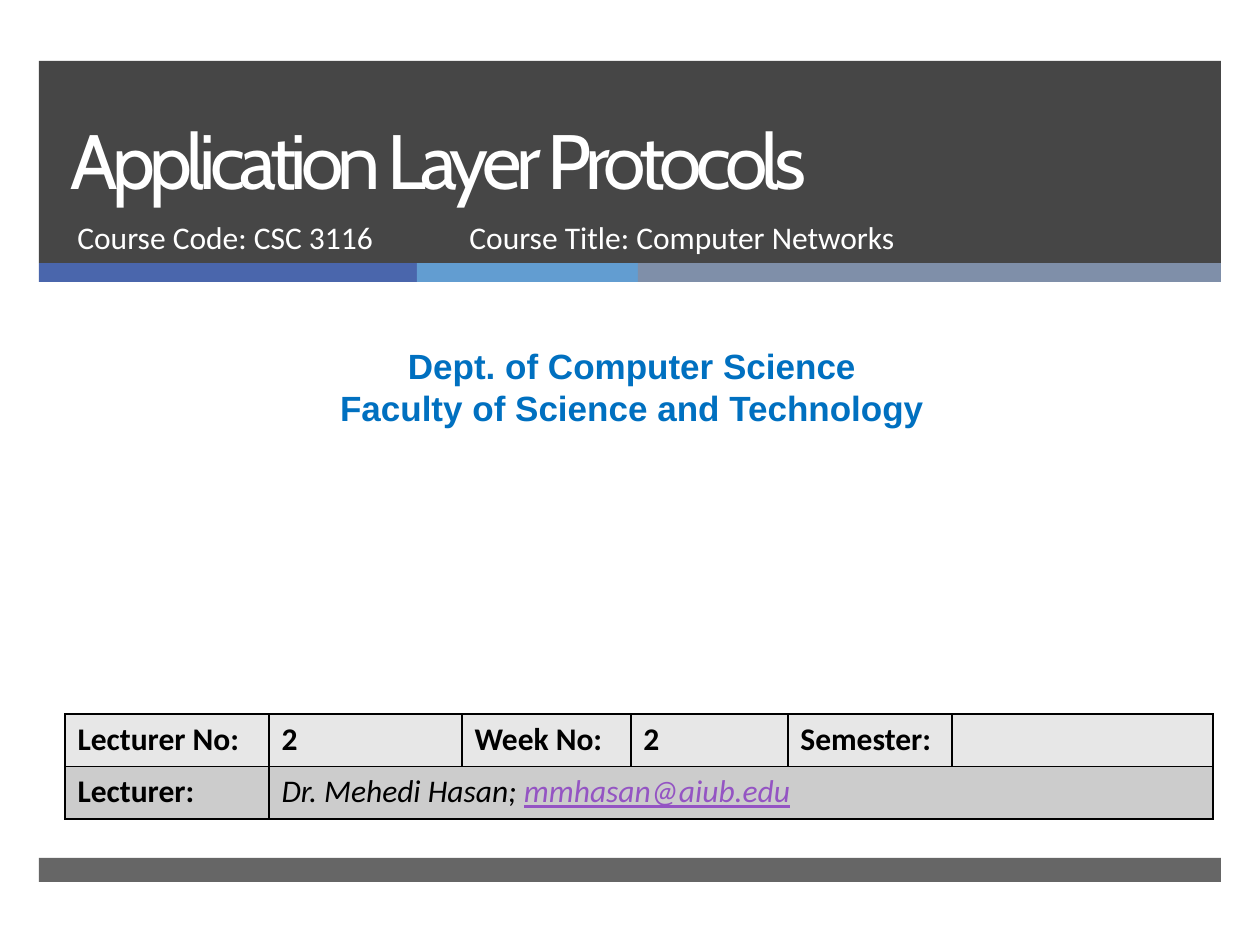
from lxml.etree import SubElement
from pptx import Presentation
from pptx.dml.color import RGBColor
from pptx.enum.shapes import MSO_SHAPE
from pptx.enum.text import MSO_ANCHOR, PP_ALIGN
from pptx.oxml.ns import qn
from pptx.util import Pt

PX = 914400 / 126  # EMU in one px

WHITE = RGBColor(0xFF, 0xFF, 0xFF)
BLACK = RGBColor(0x00, 0x00, 0x00)
DARK = RGBColor(0x26, 0x26, 0x26)
NAVY = RGBColor(0x4A, 0x66, 0xAC)
SKY = RGBColor(0x62, 0x9D, 0xD1)
STEEL = RGBColor(0x7F, 0x8F, 0xA9)
BLUE = RGBColor(0x00, 0x70, 0xC0)
PURPLE = RGBColor(0x94, 0x54, 0xC3)
LIGHT = RGBColor(0xE7, 0xE7, 0xE7)
GREY = RGBColor(0xCC, 0xCC, 0xCC)


def px(*nums):
    return [round(n * PX) for n in nums]


def add_text(box, lines, face, size, color, bold=False):
    frame = slide.shapes.add_textbox(*px(*box)).text_frame
    frame.word_wrap = True
    frame.text = "\n".join(lines)
    for para in frame.paragraphs:
        font = para.font
        font.name, font.size, font.bold = face, Pt(size), bold
        font.color.rgb = color
    return frame


deck = Presentation()
deck.slide_width, deck.slide_height = px(1260, 945)
slide = deck.slides.add_slide(deck.slide_layouts[6])

# Header band, colour strip and footer band
bars = [
    (39, 61, 1182, 202, DARK, 85),
    (39, 263, 378, 19, NAVY, 100),
    (417, 263, 221, 19, SKY, 100),
    (638, 263, 583, 19, STEEL, 100),
    (39, 858, 1182, 24, DARK, 70),
]
for *box, color, alpha in bars:
    bar = slide.shapes.add_shape(MSO_SHAPE.RECTANGLE, *px(*box))
    bar.shadow.inherit = False
    bar.line.fill.background()
    bar.fill.solid()
    bar.fill.fore_color.rgb = color
    if alpha < 100:
        tint = bar.fill._xPr.find(".//" + qn("a:srgbClr"))
        SubElement(tint, qn("a:alpha"), val=str(alpha * 1000))

# Title and course lines
title = add_text((58, 61, 1076, 150), ["Application Layer Protocols"], "Cabin", 44, WHITE)
title.vertical_anchor = MSO_ANCHOR.BOTTOM
title.paragraphs[0].line_spacing = Pt(46)
title.paragraphs[0].runs[0].font._element.set("spc", "-320")
add_text((65, 212, 384, 67), ["Course Code: CSC 3116"], "Calibri", 18, WHITE)
add_text((457, 212, 573, 67), ["Course Title: Computer Networks"], "Calibri", 18, WHITE)

# Department
dept = add_text((10, 338, 1244, 97),
                ["Dept. of Computer Science", "Faculty of Science and Technology"],
                "Arial", 20, BLUE, True)
for para in dept.paragraphs:
    para.alignment = PP_ALIGN.CENTER
    para.line_spacing = Pt(24)

# Lecture table
rows = [
    ["Lecturer No:", "2", "Week No:", "2", "Semester:", ""],
    ["Lecturer:", "", "", "", "", ""],
]
table = slide.shapes.add_table(2, 6, *px(65, 714, 1148, 105)).table
for col, wide in zip(table.columns, px(204, 193, 169, 157, 164, 261)):
    col.width = wide
for r, (row, fill) in enumerate(zip(rows, (LIGHT, GREY))):
    for c, text in enumerate(row):
        cell = table.cell(r, c)
        cell.text = text
        font = cell.text_frame.paragraphs[0].font
        font.name, font.size, font.bold = "Calibri", Pt(18), True
        font.color.rgb = BLACK
        props = cell._tc.get_or_add_tcPr()
        for side in ("lnL", "lnR", "lnT", "lnB"):
            line = SubElement(props, qn("a:" + side), w="12700")
            ink = SubElement(line, qn("a:solidFill"))
            SubElement(ink, qn("a:srgbClr"), val=str(BLACK))
        cell.fill.solid()
        cell.fill.fore_color.rgb = fill

# Lecturer name and address
table.cell(1, 1).merge(table.cell(1, 5))
para = table.cell(1, 1).text_frame.paragraphs[0]
para.font.bold, para.font.italic = False, True
para.add_run().text = "Dr. Mehedi Hasan; "
mail = para.add_run()
mail.text = "mmhasan@aiub.edu"
mail.font.underline = True
mail.font.color.rgb = PURPLE

deck.save("out.pptx")
